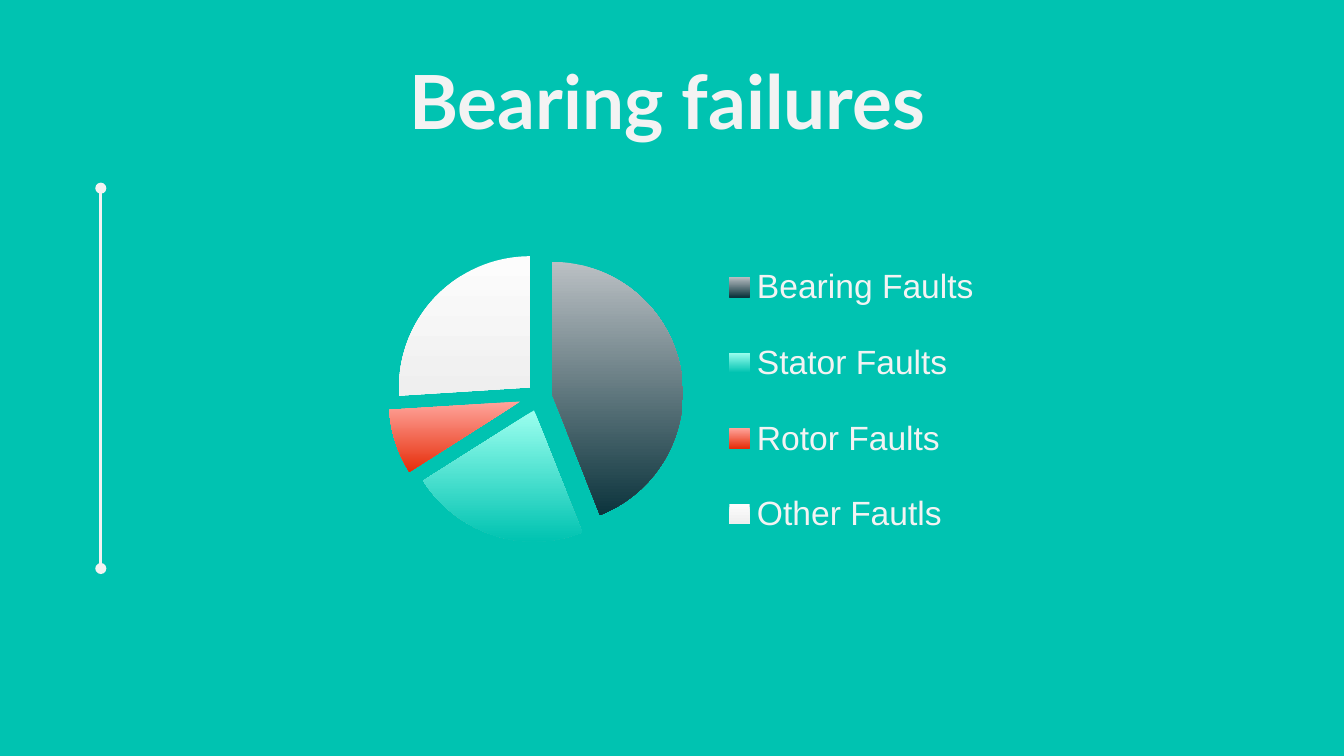
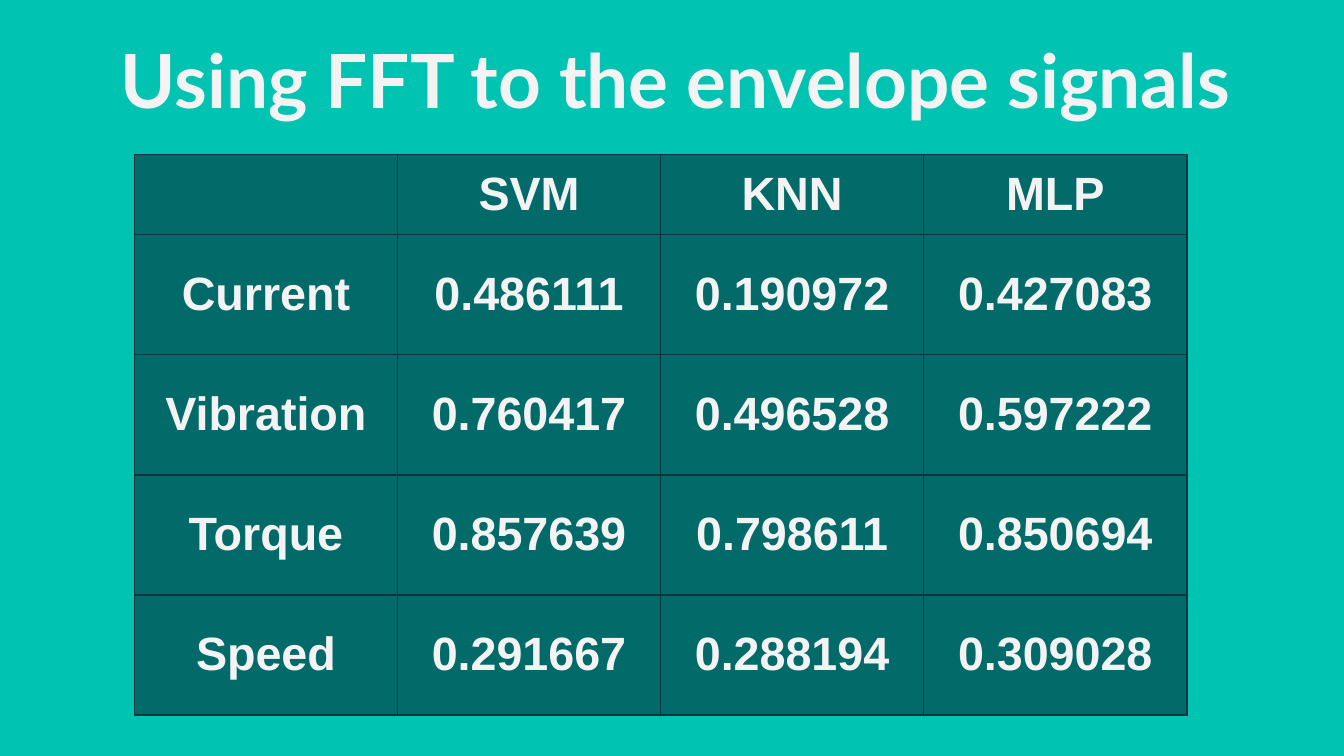
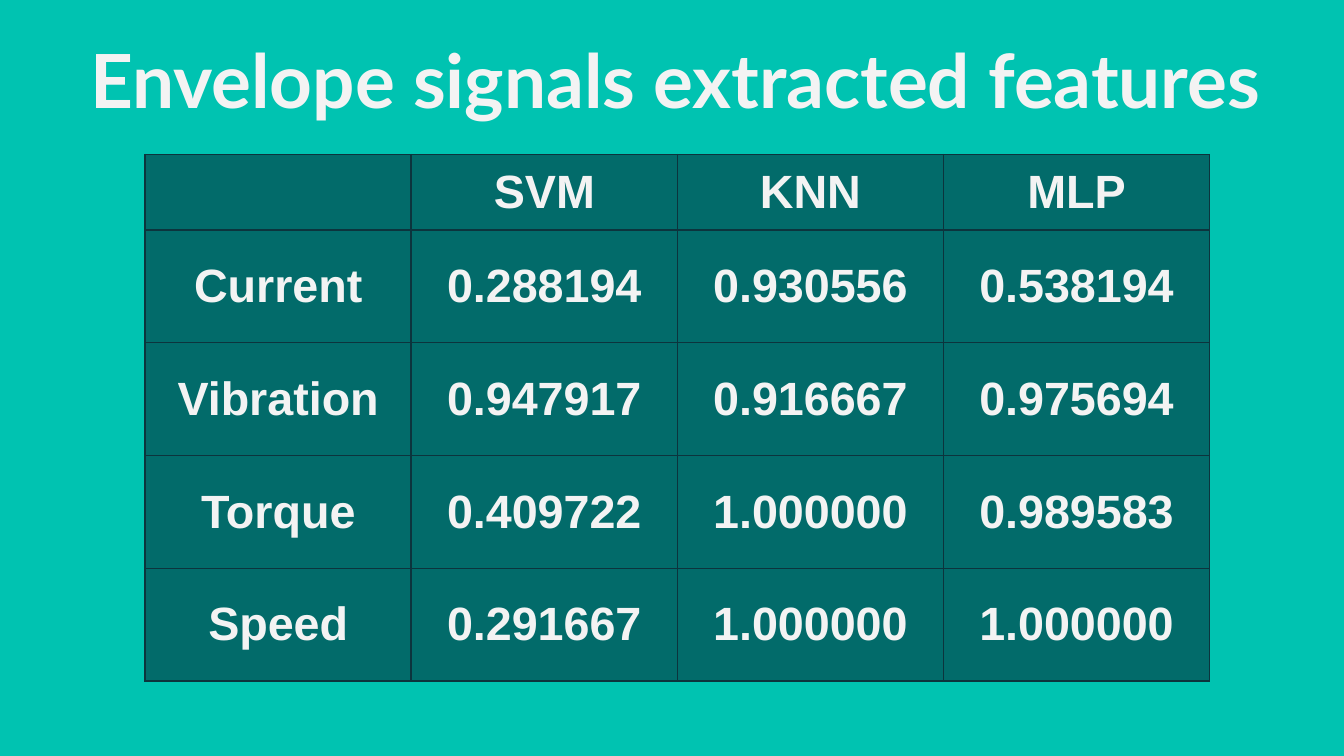
import pptx
import pptx.chart.data
import pptx.dml.color
import pptx.enum.chart
import pptx.enum.shapes
import pptx.enum.text
import pptx.oxml
import pptx.oxml.ns
import pptx.util

Inches = pptx.util.Inches
Pt = pptx.util.Pt
qn = pptx.oxml.ns.qn

COLORS = {"teal": "00C3B1", "light": "F3F3F3", "navy": "0C343D", "cell": "04222E"}
CELL_ALPHA = 54
FAULTS = [
    ("Bearing Faults", 44, 10, "BBC0C4", "0C343D"),
    ("Stator Faults", 22, 12, "9CFFEF", "00C3B1"),
    ("Rotor Faults", 8, 15, "FFA59C", "E62E0B"),
    ("Other Fautls", 26, 9, "FCFCFC", "EFEFEF"),
]
MODELS = ["", "SVM", "KNN", "MLP"]
FFT_ROWS = [
    MODELS,
    ["Current", "0.486111", "0.190972", "0.427083"],
    ["Vibration", "0.760417", "0.496528", "0.597222"],
    ["Torque", "0.857639", "0.798611", "0.850694"],
    ["Speed", "0.291667", "0.288194", "0.309028"],
]
FEATURE_ROWS = [
    MODELS,
    ["Current", "0.288194", "0.930556", "0.538194"],
    ["Vibration", "0.947917", "0.916667", "0.975694"],
    ["Torque", "0.409722", "1.000000", "0.989583"],
    ["Speed", "0.291667", "1.000000", "1.000000"],
]


def rgb(value):
    return pptx.dml.color.RGBColor.from_string(value)


def sub(parent, tag, **attrs):
    child = parent.makeelement(qn(tag), {k: str(v) for k, v in attrs.items()})
    parent.append(child)
    return child


def style_font(font, size, name, color, bold):
    font.size, font.name, font.bold = Pt(size), name, bold
    font.color.rgb = rgb(color)


def add_slide(prs, title, box):
    s = prs.slides.add_slide(prs.slide_layouts[5])
    sp = s.shapes.title
    sp.left, sp.top, sp.width, sp.height = map(Inches, box)
    tf = sp.text_frame
    tf.text = title
    tf.word_wrap = True
    tf.auto_size = pptx.enum.text.MSO_AUTO_SIZE.NONE
    tf.vertical_anchor = pptx.enum.text.MSO_ANCHOR.TOP
    tf.margin_left = tf.margin_right = tf.margin_top = tf.margin_bottom = Inches(0.1)
    p = tf.paragraphs[0]
    p.alignment = pptx.enum.text.PP_ALIGN.CENTER
    style_font(p.runs[0].font, 40, "Lato", COLORS["light"], True)
    return s


def add_side_rule(s, x, top, bottom):
    line = s.shapes.add_connector(
        pptx.enum.shapes.MSO_CONNECTOR.STRAIGHT,
        Inches(x), Inches(top), Inches(x), Inches(bottom))
    line.line.color.rgb = rgb(COLORS["light"])
    line.line.width = Pt(1.5)
    ln = line.line._get_or_add_ln()
    sub(ln, "a:headEnd", type="oval")
    sub(ln, "a:tailEnd", type="oval")
    sub(ln.getparent(), "a:effectLst")


def make_layout(parent, box, inner=False):
    for old in parent.findall(qn("c:layout")):
        parent.remove(old)
    layout = sub(parent, "c:layout")
    manual = sub(layout, "c:manualLayout")
    if inner:
        sub(manual, "c:layoutTarget", val="inner")
    sub(manual, "c:xMode", val="edge")
    sub(manual, "c:yMode", val="edge")
    for key, value in zip("xywh", box):
        sub(manual, "c:" + key, val=value)
    return layout


def add_fault_pie(s, box):
    data = pptx.chart.data.CategoryChartData()
    data.categories = [fault[0] for fault in FAULTS]
    data.add_series("Series 1", [fault[1] for fault in FAULTS])
    chart = s.shapes.add_chart(
        pptx.enum.chart.XL_CHART_TYPE.PIE, *map(Inches, box), data).chart
    chart.has_title = False
    style_font(chart.font, 18, "Arial", COLORS["navy"], False)
    chart.has_legend = True
    legend = chart.legend
    legend.position = pptx.enum.chart.XL_LEGEND_POSITION.RIGHT
    legend.include_in_layout = False
    style_font(legend.font, 18, "Arial", COLORS["light"], False)
    legend_xml = legend._element
    legend_xml.find(qn("c:legendPos")).addnext(
        make_layout(legend_xml, (0.57, 0.2, 0.41, 0.69)))
    plot_area = chart._chartSpace.chart.plotArea
    plot_area.insert(0, make_layout(plot_area, (0.03, 0.12, 0.59, 0.83), True))

    chart.plots[0].vary_by_categories = True
    series = chart.plots[0].series[0]
    for i, (_, _, _, start, end) in enumerate(FAULTS):
        fill = series.points[i].format.fill
        fill.gradient()
        fill.gradient_angle = 270
        for stop, color in zip(fill.gradient_stops, (start, end)):
            stop.color.rgb = rgb(color)
    slices = series._element.findall(qn("c:dPt"))
    for point, fault in zip(slices, FAULTS):
        point.find(qn("c:spPr")).addprevious(sub(point, "c:explosion", val=fault[2]))
    slices[0].addprevious(sub(series._element, "c:explosion", val=56))


def style_cell(cell):
    cell.vertical_anchor = pptx.enum.text.MSO_ANCHOR.MIDDLE
    cell.fill.solid()
    cell.fill.fore_color.rgb = rgb(COLORS["cell"])
    tc_pr = cell._tc.get_or_add_tcPr()
    color = tc_pr.find(qn("a:solidFill")).find(qn("a:srgbClr"))
    sub(color, "a:alpha", val=CELL_ALPHA * 1000)
    for i, side in enumerate("LRTB"):
        ln = sub(tc_pr, "a:ln" + side, w=Pt(1))
        sub(sub(ln, "a:solidFill"), "a:srgbClr", val=COLORS["navy"])
        tc_pr.insert(i, ln)
    p = cell.text_frame.paragraphs[0]
    p.alignment = pptx.enum.text.PP_ALIGN.CENTER
    for r in p.runs:
        style_font(r.font, 25, "Arial", COLORS["light"], True)


def add_score_table(s, box, rows):
    x, y, w, h = box
    table = s.shapes.add_table(len(rows), len(rows[0]), *map(Inches, box)).table
    table.first_row = table.horz_banding = False
    for col in table.columns:
        col.width = Inches(w / len(rows[0]))
    unit = h / (2 + 3 * (len(rows) - 1))
    for i, row in enumerate(rows):
        table.rows[i].height = Inches(unit * (3 if i else 2))
        for j, text in enumerate(row):
            cell = table.cell(i, j)
            cell.text_frame.text = text
            style_cell(cell)


def pie_slide(prs):
    s = add_slide(prs, "Bearing failures", (0.75, 0.31, 8.43, 0.63))
    add_side_rule(s, 0.75, 1.4, 4.23)
    add_fault_pie(s, (2.33, 0.98, 5.17, 3.67))


def table_slide(prs, title, box, rows):
    s = add_slide(prs, title, (0.5, 0.15, 9.05, 0.63))
    add_score_table(s, box, rows)


def main():
    prs = pptx.Presentation()
    prs.slide_width = Inches(10)
    prs.slide_height = prs.slide_width * 9 // 16
    background = prs.slide_master.background.fill
    background.solid()
    background.fore_color.rgb = rgb(COLORS["teal"])
    pie_slide(prs)
    table_slide(prs, "Using FFT to the envelope signals", (1, 1.15, 7.83, 4.17), FFT_ROWS)
    table_slide(prs, "Envelope signals extracted features", (1.08, 1.15, 7.92, 3.92), FEATURE_ROWS)
    prs.save("out.pptx")


if __name__ == "__main__":
    main()
